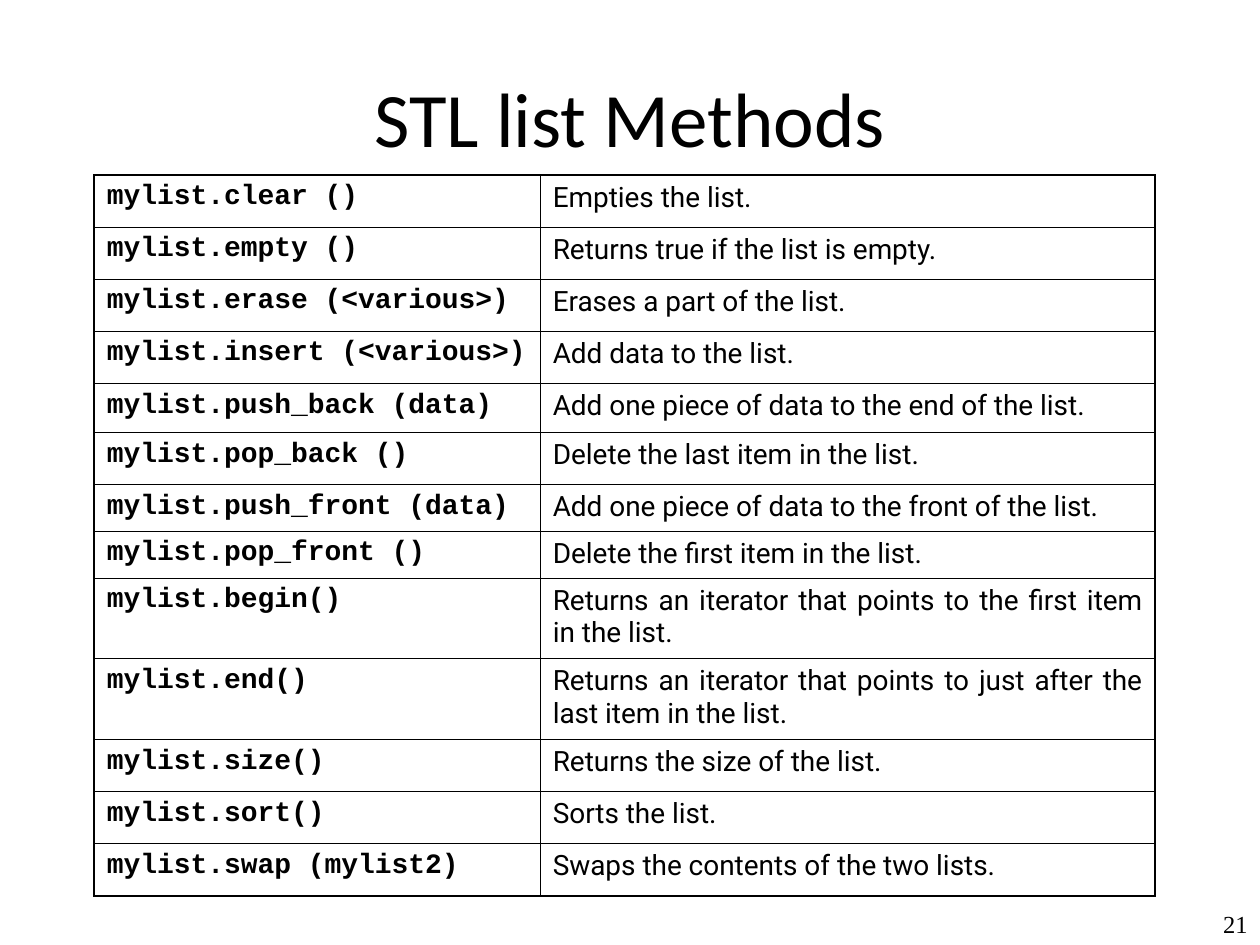
"""Build a slide with a table of the STL list methods."""
from lxml import etree
from pptx import Presentation
from pptx.dml.color import RGBColor
from pptx.enum.text import MSO_ANCHOR, PP_ALIGN
from pptx.oxml.ns import qn
from pptx.util import Cm, Pt

CENTER, RIGHT, JUSTIFY = PP_ALIGN.CENTER, PP_ALIGN.RIGHT, PP_ALIGN.JUSTIFY
TOP, MIDDLE = MSO_ANCHOR.TOP, MSO_ANCHOR.MIDDLE

TITLE = "STL list Methods"
PAGE_NUMBER = "21"
BLACK = "000000"
OUTER_LINE, INNER_LINE = 1.08, 0.45
COLUMN_WIDTHS = (8.99, 12.4)
REGULAR, MEDIUM, COMPACT, DOUBLE = 1.05, 0.99, 0.94, 1.63
METHODS = [
    ("mylist.clear ()", "Empties the list.", REGULAR),
    ("mylist.empty ()", "Returns true if the list is empty.", REGULAR),
    ("mylist.erase (<various>)", "Erases a part of the list.", REGULAR),
    ("mylist.insert (<various>)", "Add data to the list.", REGULAR),
    ("mylist.push_back (data)", "Add one piece of data to the end of the list.", MEDIUM),
    ("mylist.pop_back ()", "Delete the last item in the list.", REGULAR),
    ("mylist.push_front (data)", "Add one piece of data to the front of the list.", COMPACT),
    ("mylist.pop_front ()", "Delete the first item in the list.", COMPACT),
    ("mylist.begin()", "Returns an iterator that points to the first item in the list.", DOUBLE),
    ("mylist.end()", "Returns an iterator that points to just after the last item in the list.", DOUBLE),
    ("mylist.size()", "Returns the size of the list.", REGULAR),
    ("mylist.sort()", "Sorts the list.", REGULAR),
    ("mylist.swap (mylist2)", "Swaps the contents of the two lists.", REGULAR),
]


def color(value):
    return RGBColor.from_string(value)


def write_text(frame, text, font, size, align, bold=False, anchor=TOP, line_spacing=None):
    frame.word_wrap = True
    frame.vertical_anchor = anchor
    paragraph = frame.paragraphs[0]
    paragraph.alignment = align
    paragraph.line_spacing = line_spacing
    run = paragraph.add_run()
    run.text = text
    run.font.name = font
    run.font.size = Pt(size)
    run.font.bold = bold
    run.font.color.rgb = color(BLACK)


def add_text(slide, text, left, top, width, height, **text_format):
    box = slide.shapes.add_textbox(Cm(left), Cm(top), Cm(width), Cm(height))
    write_text(box.text_frame, text, **text_format)


def set_borders(cell, outer_sides):
    properties = cell._tc.get_or_add_tcPr()
    for index, side in enumerate("LRTB"):
        width = OUTER_LINE if side in outer_sides else INNER_LINE
        line = etree.Element(qn(f"a:ln{side}"), w=str(Pt(width)))
        fill = etree.SubElement(line, qn("a:solidFill"))
        etree.SubElement(fill, qn("a:srgbClr"), val=BLACK)
        properties.insert(index, line)


def add_methods_table(slide, left, top):
    heights = [height for _, _, height in METHODS]
    table = slide.shapes.add_table(
        len(METHODS), len(COLUMN_WIDTHS), Cm(left), Cm(top),
        Cm(sum(COLUMN_WIDTHS)), Cm(sum(heights))).table
    table.first_row = table.horz_banding = False
    for column, width in zip(table.columns, COLUMN_WIDTHS):
        column.width = Cm(width)
    for row_index, (method, description, height) in enumerate(METHODS):
        table.rows[row_index].height = Cm(height)
        edge = {0: "T", len(METHODS) - 1: "B"}.get(row_index, "")
        columns = [(method, "Courier New", True, "L"), (description, "Roboto", False, "R")]
        for column_index, (text, font, bold, side) in enumerate(columns):
            cell = table.cell(row_index, column_index)
            cell.fill.background()
            write_text(cell.text_frame, text, font=font, size=16, align=JUSTIFY, bold=bold)
            set_borders(cell, edge + side)


def main():
    presentation = Presentation()
    presentation.slide_width, presentation.slide_height = Cm(25.4), Cm(19.05)
    slide = presentation.slides.add_slide(presentation.slide_layouts[6])
    add_text(slide, TITLE, 1.27, 0.76, 22.86, 3.18,
             font="Calibri", size=44, align=CENTER, anchor=MIDDLE)
    add_text(slide, PAGE_NUMBER, 22.5, 18.34, 2.9, 0.71,
             font="Times New Roman", size=14, align=RIGHT, line_spacing=0.75)
    add_methods_table(slide, 1.9, 3.53)
    presentation.save("out.pptx")


if __name__ == "__main__":
    main()
